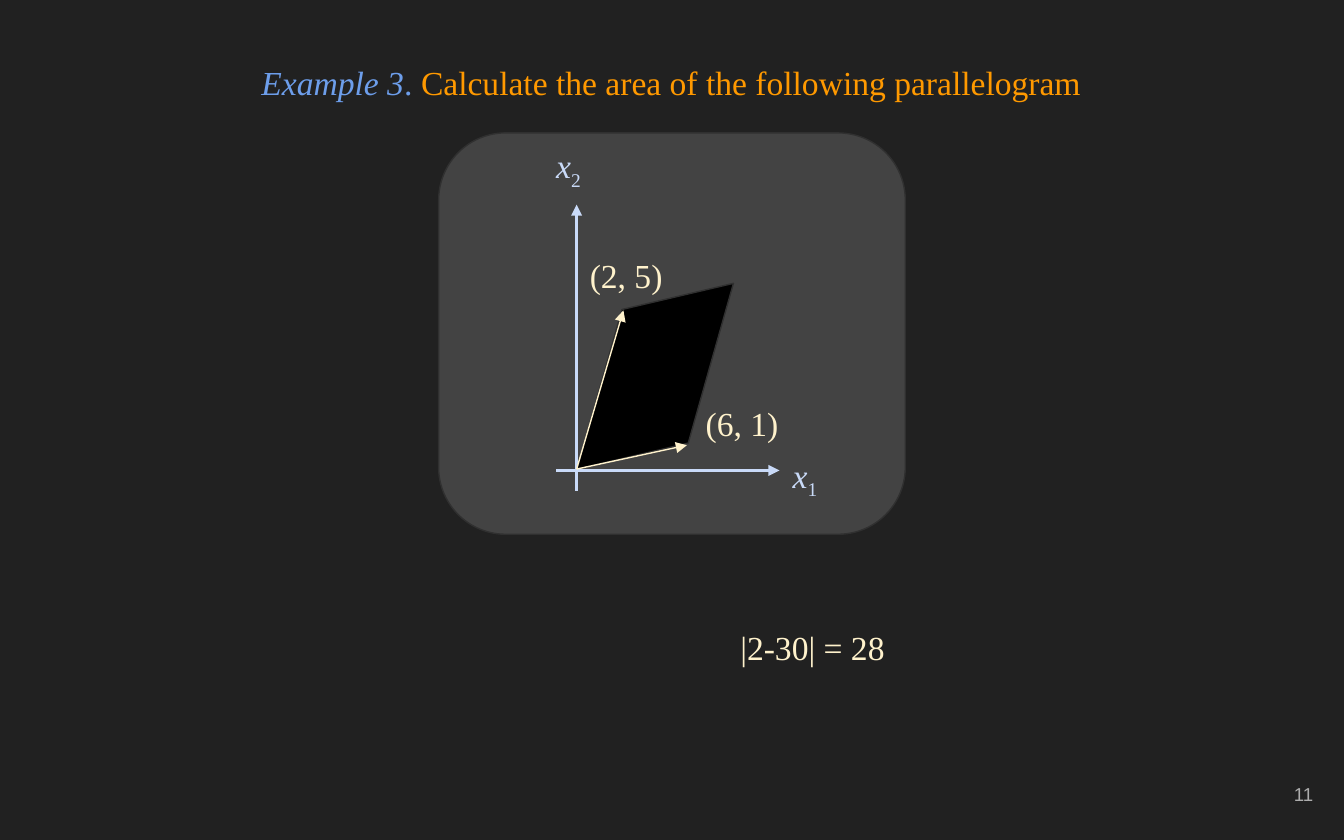
from pptx import Presentation
from pptx.dml.color import RGBColor
from pptx.enum.shapes import MSO_CONNECTOR, MSO_SHAPE
from pptx.enum.text import MSO_ANCHOR, MSO_AUTO_SIZE, PP_ALIGN
from pptx.oxml.ns import qn
from pptx.util import Pt
from lxml.etree import SubElement

DARK = RGBColor(0x21, 0x21, 0x21)
PANEL = RGBColor(0x43, 0x43, 0x43)
EDGE = RGBColor(0x30, 0x30, 0x30)
BLACK = RGBColor(0x00, 0x00, 0x00)
GRAY = RGBColor(0xAD, 0xAD, 0xAD)
BLUE = RGBColor(0x6D, 0x9E, 0xEB)
ORANGE = RGBColor(0xFF, 0x99, 0x00)
PALE = RGBColor(0xC9, 0xDA, 0xF8)
CREAM = RGBColor(0xFF, 0xF2, 0xCC)
SERIF = "Times New Roman"


def write(box, place, runs, frame, para, font):
    box.left, box.top, box.width, box.height = map(Pt, place)
    text = box.text_frame
    inset = Pt(7.2)
    base = {
        "word_wrap": True,
        "auto_size": MSO_AUTO_SIZE.NONE,
        "margin_left": inset,
        "margin_right": inset,
        "margin_top": inset,
        "margin_bottom": inset,
    }
    for key, value in (base | frame).items():
        setattr(text, key, value)
    line = text.paragraphs[0]
    for key, value in para.items():
        setattr(line, key, value)
    for words, color, slant, shift in runs:
        run = line.add_run()
        run.text = words
        for key, value in (font | {"italic": slant}).items():
            setattr(run.font, key, value)
        run.font.color.rgb = color
        if shift:
            run.font._element.set("baseline", str(shift))


def arrow(start, end, color, width):
    line = slide.shapes.add_connector(MSO_CONNECTOR.STRAIGHT, *map(Pt, start + end))
    line.line.color.rgb = color
    line.line.width = Pt(width)
    SubElement(line.line._get_or_add_ln(), qn("a:tailEnd"), type="triangle")
    SubElement(line._element.spPr, qn("a:effectLst"))


deck = Presentation()
deck.slide_width, deck.slide_height = Pt(720), Pt(450)
slide = deck.slides.add_slide(deck.slide_layouts[5])
slide.background.fill.solid()
slide.background.fill.fore_color.rgb = DARK

serif = {"name": SERIF, "size": Pt(18)}
middle = {"vertical_anchor": MSO_ANCHOR.MIDDLE}
write(
    slide.shapes.title,
    (34.5, 23.2, 650.5, 42),
    [
        ("Example 3", BLUE, True, 0),
        (". ", BLUE, False, 0),
        ("Calculate the area of the following parallelogram", ORANGE, False, 0),
    ],
    middle,
    {"alignment": PP_ALIGN.CENTER, "space_after": Pt(16)},
    serif,
)

shapes = [
    (MSO_SHAPE.ROUNDED_RECTANGLE, (235, 71.2, 250, 215), 0.167, PANEL, 0),
    (MSO_SHAPE.PARALLELOGRAM, (298.8, 162.7, 104.4, 77.8), 0.554, BLACK, 346.8),
]
for kind, place, bend, fill, turn in shapes:
    shape = slide.shapes.add_shape(kind, *map(Pt, place))
    shape.adjustments[0] = bend
    shape.rotation = turn
    shape.shadow.inherit = False
    shape.fill.solid()
    shape.fill.fore_color.rgb = fill
    shape.line.color.rgb = EDGE
    shape.line.width = Pt(0.75)

arrow((298, 252), (417.6, 252), PALE, 1.5)
arrow((308.9, 262.8), (308.9, 109.6), PALE, 1.5)
for tip in [(368, 238.5), (334, 166.3)]:
    arrow((308.9, 251.3), tip, CREAM, 0.75)

labels = [
    ((417.6, 232.6, 36), [("x", PALE, True, 0), ("1", PALE, False, -25000)]),
    ((290.9, 67, 36), [("x", PALE, True, 0), ("2", PALE, False, -25000)]),
    ((308.9, 126, 55.4), [("(2, 5)", CREAM, False, 0)]),
    ((371, 205.2, 55.4), [("(6, 1)", CREAM, False, 0)]),
    ((389.5, 325.4, 106.6), [("|2-30| = 28", CREAM, False, 0)]),
]
spacing = {"line_spacing": 1.15, "space_after": Pt(16)}
for place, runs in labels:
    box = slide.shapes.add_textbox(0, 0, 0, 0)
    write(box, place + (39.6,), runs, {}, spacing, serif)

write(
    slide.shapes.add_textbox(0, 0, 0, 0),
    (667.4, 408.2, 43.2, 34.6),
    [("11", GRAY, False, 0)],
    middle,
    {"alignment": PP_ALIGN.RIGHT},
    {"name": "Arial", "size": Pt(10)},
)

deck.save("out.pptx")
